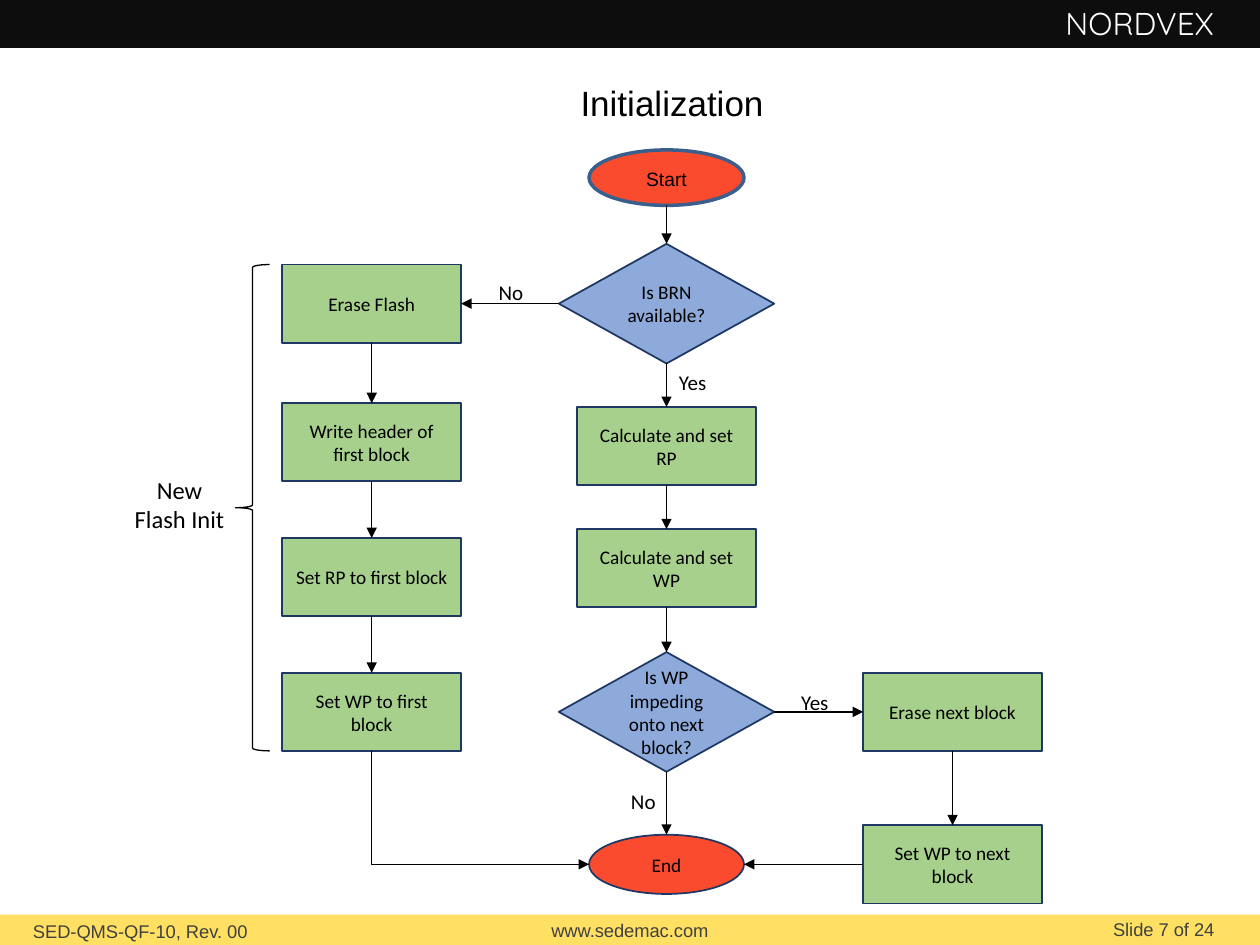
"""Build the initialization flowchart slide."""
from lxml import etree
from pptx import Presentation
from pptx.dml.color import RGBColor
from pptx.enum.shapes import MSO_CONNECTOR as Link, MSO_SHAPE as Shape
from pptx.enum.text import MSO_ANCHOR as Anchor, MSO_AUTO_SIZE as AutoSize, PP_ALIGN as Align
from pptx.oxml.ns import qn
from pptx.util import Inches, Pt


def color(value):
    return RGBColor.from_string(value)


def write(box, text, size=11, font="Calibri", ink="000000", align=Align.CENTER,
          anchor=Anchor.MIDDLE, inset=None, spacing=None):
    frame = box.text_frame
    frame.word_wrap = True
    frame.auto_size = AutoSize.NONE
    frame.vertical_anchor = anchor
    if inset is not None:
        frame.margin_left = frame.margin_right = Inches(inset)
        frame.margin_top = frame.margin_bottom = Inches(inset)
    para = frame.paragraphs[0]
    para.alignment = align
    para.line_spacing = spacing
    span = para.add_run()
    span.text = text
    span.font.size, span.font.name = Pt(size), font
    span.font.color.rgb = color(ink)


deck = Presentation()
deck.slide_width, deck.slide_height = Inches(10), Inches(7.5)
page = deck.slides.add_slide(deck.slide_layouts[5])
shapes = page.shapes

bars = []
for top, height, fill in [(0, 0.38, "0D0D0D"), (7.26, 0.24, "FFE063")]:
    bar = shapes.add_shape(Shape.RECTANGLE, 0, Inches(top), Inches(10), Inches(height))
    bar.shadow.inherit = False
    bar.fill.solid()
    bar.fill.fore_color.rgb = color(fill)
    bar.line.fill.background()
    bars.append(bar)
write(bars[1], "www.sedemac.com", size=10.5, font="Arial", ink="404040")

title = shapes.title
title.left, title.top = Inches(1.73), Inches(0.6)
title.width, title.height = Inches(7.21), Inches(0.44)
write(title, "Initialization", size=20, font="Arial", anchor=Anchor.TOP)

footer = dict(size=10.5, font="Arial", ink="404040", inset=0)
label = dict(size=12, align=Align.LEFT)
texts = [
    ("SED-QMS-QF-10, Rev. 00", 0, 7.3, 2.23, 0.21, footer),
    ("Slide 7 of 24", 7.17, 7.29, 2.47, 0.21, footer | dict(align=Align.RIGHT)),
    ("NORDVEX", 8.09, 0.05, 1.91, 0.33,
     dict(size=18, font="Quicksand", ink="FFFFFF", spacing=0.76)),
    ("New Flash Init", 0.96, 3.72, 0.93, 0.57, dict(size=14)),
    ("Yes", 6.26, 5.42, 0.47, 0.3, label),
    ("Yes", 5.29, 2.88, 0.47, 0.3, label),
    ("No", 3.86, 2.17, 0.47, 0.3, label),
    ("No", 4.91, 6.21, 0.47, 0.3, label),
]
for text, left, top, width, height, style in texts:
    box = shapes.add_textbox(Inches(left), Inches(top), Inches(width), Inches(height))
    write(box, text, **{"anchor": Anchor.TOP, **style})

kinds = {
    "terminal": (Shape.OVAL, 1.23, 0.47, "FA4B2E"),
    "decision": (Shape.DIAMOND, 1.71, 0.95, "8EAADB"),
    "step": (Shape.RECTANGLE, 1.42, 0.62, "A8D08D"),
}
left_column, main_column, right_column = 2.95, 5.29, 7.56
nodes = [
    ("Start", "terminal", main_column, 1.41),
    ("Is BRN available?", "decision", main_column, 2.41),
    ("Calculate and set RP", "step", main_column, 3.54),
    ("Calculate and set WP", "step", main_column, 4.51),
    ("Is WP impeding onto next block?", "decision", main_column, 5.65),
    ("End", "terminal", main_column, 6.86),
    ("Erase Flash", "step", left_column, 2.41),
    ("Write header of first block", "step", left_column, 3.51),
    ("Set RP to first block", "step", left_column, 4.58),
    ("Set WP to first block", "step", left_column, 5.65),
    ("Erase next block", "step", right_column, 5.65),
    ("Set WP to next block", "step", right_column, 6.86),
]
placed = []
for text, kind, center, middle in nodes:
    preset, width, height, fill = kinds[kind]
    start = text == "Start"
    if start:
        height = 0.44
    node = shapes.add_shape(preset, Inches(center - width / 2), Inches(middle - height / 2),
                            Inches(width), Inches(height))
    node.shadow.inherit = False
    node.fill.solid()
    node.fill.fore_color.rgb = color(fill)
    node.line.color.rgb = color("3A5F8C" if start else "1F3763")
    node.line.width = Pt(2 if start else 1)
    write(node, text, font="Arial" if start else "Calibri", spacing=1.07 if start else None)
    placed.append(node)

(start, has_brn, set_rp, set_wp, impeding, end,
 erase, header, first_rp, first_wp, erase_next, next_wp) = placed

brace = shapes.add_shape(Shape.LEFT_BRACE, Inches(1.87), Inches(2.1), Inches(0.27), Inches(3.86))
brace.shadow.inherit = False
brace.fill.background()
brace.line.color.rgb = color("000000")
brace.line.width = Pt(0.75)

arrows = []
chains = [(start, has_brn, set_rp, set_wp, impeding, end),
          (erase, header, first_rp, first_wp), (erase_next, next_wp)]
for chain in chains:
    for upper, lower in zip(chain, chain[1:]):
        x = upper.left + upper.width // 2
        arrows.append(shapes.add_connector(Link.STRAIGHT, x, upper.top + upper.height, x, lower.top))
for source, target in [(has_brn, erase), (impeding, erase_next), (next_wp, end)]:
    y = source.top + source.height // 2
    if source.left < target.left:
        ends = source.left + source.width, target.left
    else:
        ends = source.left, target.left + target.width
    arrows.append(shapes.add_connector(Link.STRAIGHT, ends[0], y, ends[1], y))

begin_x, begin_y = first_wp.left + first_wp.width // 2, first_wp.top + first_wp.height
run, drop = end.left - begin_x, end.top + end.height // 2 - begin_y
x, y = begin_x + (run - drop) // 2, begin_y + (drop - run) // 2
elbow = shapes.add_connector(Link.ELBOW, x, y, x + drop, y + run)
properties = elbow.element.spPr
properties.find(qn("a:prstGeom")).set("prst", "bentConnector2")
properties.find(qn("a:xfrm")).set("rot", str(270 * 60000))
properties.find(qn("a:xfrm")).set("flipH", "1")
arrows.append(elbow)

for arrow in arrows:
    arrow.line.color.rgb = color("000000")
    arrow.line.width = Pt(0.75)
    etree.SubElement(arrow.line._get_or_add_ln(), qn("a:tailEnd"), type="triangle")
    etree.SubElement(arrow.element.spPr, qn("a:effectLst"))

deck.save("out.pptx")
